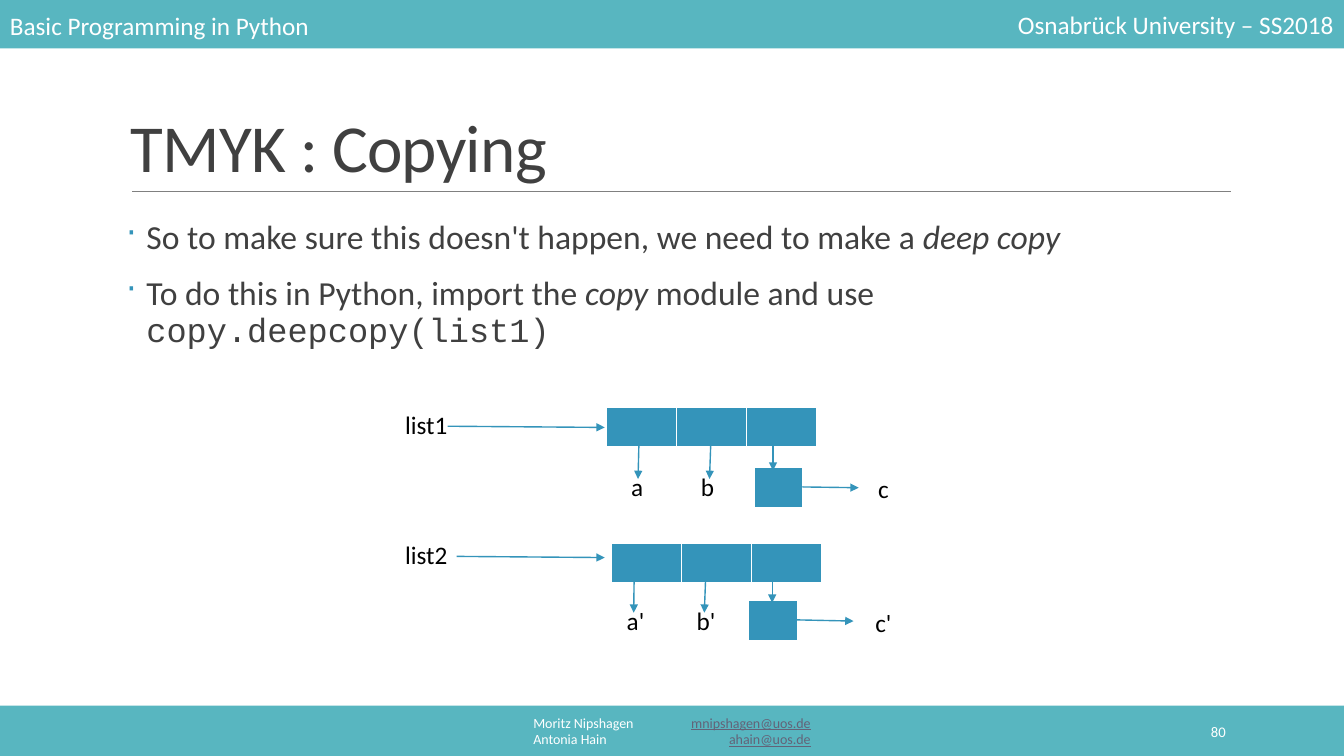
from lxml import etree
from pptx import Presentation
from pptx.dml.color import RGBColor
from pptx.enum import shapes as sh, text as tx
from pptx.oxml import parse_xml
from pptx.oxml.ns import qn
from pptx.util import Cm, Pt

TEAL = RGBColor(0x58, 0xB6, 0xC0)
BLUE = RGBColor(0x34, 0x94, 0xBA)
WHITE = RGBColor(0xFF, 0xFF, 0xFF)
BLACK = RGBColor(0, 0, 0)
DARK = RGBColor(0x40, 0x40, 0x40)
GRAY = RGBColor(0x80, 0x80, 0x80)
LINK = RGBColor(0x63, 0x63, 0x78)
NS = 'xmlns:a="http://schemas.openxmlformats.org/drawingml/2006/main"'
LEFT, MID, RIGHT = tx.PP_ALIGN.LEFT, tx.PP_ALIGN.CENTER, tx.PP_ALIGN.RIGHT
TOP, CENTER, BASE = tx.MSO_ANCHOR.TOP, tx.MSO_ANCHOR.MIDDLE, tx.MSO_ANCHOR.BOTTOM

prs = Presentation()
prs.slide_width, prs.slide_height = Cm(33.87), Cm(19.05)
slide = prs.slides.add_slide(prs.slide_layouts[6])


def write(x, y, w, h, lines, size, color, align=LEFT, anchor=TOP):
    box = slide.shapes.add_textbox(Cm(x), Cm(y), Cm(w), Cm(h))
    frame = box.text_frame
    frame.word_wrap = True
    frame.vertical_anchor = anchor
    for i, parts in enumerate(lines):
        para = frame.paragraphs[0] if i == 0 else frame.add_paragraph()
        para.alignment = align
        for part in parts:
            run = para.add_run()
            run.text = part
            run.font.name = "Calibri"
            run.font.size = Pt(size)
            run.font.color.rgb = color
    return frame


def draw(x1, y1, x2, y2, color, width):
    line = slide.shapes.add_connector(
        sh.MSO_CONNECTOR.STRAIGHT, Cm(x1), Cm(y1), Cm(x2), Cm(y2))
    line.line.color.rgb = color
    line.line.width = Pt(width)
    etree.SubElement(line._element.spPr, qn("a:effectLst"))
    return line


draw(3.33, 4.83, 31.01, 4.83, GRAY, 0.5)
for y in (17.78, -0.05):
    bar = slide.shapes.add_shape(
        sh.MSO_SHAPE.RECTANGLE, 0, Cm(y), prs.slide_width, Cm(1.27))
    bar.shadow.inherit = False
    bar.fill.solid()
    bar.fill.fore_color.rgb = TEAL
    bar.line.fill.background()

foot = write(10.24, 17.91, 13.39, 1.02,
             [["Moritz Nipshagen\t", "mnipshagen@uos.de"],
              ["Antonia Hain\t", "ahain@uos.de"]], 10, WHITE, MID, CENTER)
for para in foot.paragraphs:
    para._p.get_or_add_pPr().append(parse_xml(
        f'<a:tabLst {NS}><a:tab pos="{Cm(6.99)}" algn="r"/></a:tabLst>'))
    mail = para.runs[1].font
    mail.underline = True
    mail.color.rgb = LINK

write(0, 0.13, 13.39, 1.02, [["Basic Programming in Python"]],
      18, WHITE, LEFT, CENTER)
write(20.47, 0.1, 13.39, 1.02, [["Osnabrück University – SS2018"]],
      18, WHITE, RIGHT, CENTER)
write(27.51, 17.93, 3.63, 1.02, [["80"]], 10.5, WHITE, RIGHT, CENTER)

title = write(3.05, 2.74, 27.94, 2.08, [["TMYK : Copying"]],
              48, DARK, LEFT, BASE).paragraphs[0]
title.line_spacing = 0.85
title.runs[0]._r.get_or_add_rPr().set("spc", "-50")

body = write(3.18, 5.44, 27.94, 11.18,
             [["So to make sure this doesn't happen, we need to make a ",
               "deep copy"],
              ["To do this in Python, import the ", "copy ",
               "module and use ", "copy.deepcopy(list1)"]], 24, DARK)
body.margin_left = body.margin_right = 0
for i, para in enumerate(body.paragraphs):
    props = para._p.get_or_add_pPr()
    props.set("marL", str(Cm(0.51)))
    props.set("indent", str(-Cm(0.51)))
    props.append(parse_xml(
        f'<a:buClr {NS}><a:srgbClr val="{BLUE}"/></a:buClr>'))
    props.append(parse_xml(f'<a:buChar {NS} char="·"/>'))
    para.line_spacing = 0.9
    para.space_before = Pt(12 * i)
    para.space_after = Pt(2)
    para.runs[1].font.italic = True
body.paragraphs[1].runs[3].font.name = "Courier New"

for x, y, w, names, color, base in (
        (15.65, 11.79, 1.76, ["a", "b"], WHITE, 1),
        (15.54, 15.16, 1.76, ["a'", "b'"], WHITE, 1),
        (15.29, 10.26, 1.76, [""] * 3, BLUE, 3),
        (15.42, 13.69, 1.76, [""] * 3, BLUE, 3),
        (19, 11.79, 1.22, [""], BLUE, 3),
        (18.87, 15.14, 1.22, [""], BLUE, 3)):
    grid = slide.shapes.add_table(
        1, len(names), Cm(x), Cm(y), Cm(w * len(names)), Cm(1.03)).table
    for i, name in enumerate(names):
        grid.columns[i].width = Cm(w)
        cell = grid.cell(0, i)
        cell.text = name
        cell.fill.solid()
        cell.fill.fore_color.rgb = color
        for run in cell.text_frame.paragraphs[0].runs:
            run.font.name = "Calibri"
            run.font.size = Pt(18)
            run.font.bold = False
            run.font.color.rgb = BLACK
        for j, side in enumerate("LRTB"):
            width = Pt(base if side == "B" else 1)
            cell._tc.get_or_add_tcPr().insert(j, parse_xml(
                f'<a:ln{side} {NS} w="{width}"><a:solidFill>'
                f'<a:srgbClr val="{WHITE}"/></a:solidFill></a:ln{side}>'))

for x, y, w, name, align in (
        (9.96, 10.19, 2.16, "list1", LEFT),
        (9.96, 13.46, 2.16, "list2", LEFT),
        (21.39, 11.79, 1.75, "c", MID),
        (21.39, 15.19, 1.75, "c'", MID)):
    write(x, y, w, 1.02, [[name]], 18, BLACK, align)

for ends in (
        (11.28, 10.74, 15.24, 10.77), (11.51, 14.02, 15.24, 14.05),
        (16.1, 11.23, 16.08, 12.07), (17.91, 11.23, 17.88, 12.07),
        (15.98, 14.63, 15.97, 15.44), (17.78, 14.63, 17.75, 15.44),
        (20.22, 12.27, 21.64, 12.29), (20.09, 15.62, 21.51, 15.65),
        (19.48, 11.18, 19.48, 11.86), (19.46, 14.48, 19.46, 15.19)):
    arrow = draw(*ends, BLUE, 1)
    etree.SubElement(arrow.line._get_or_add_ln(), qn("a:tailEnd"),
                     type="triangle")

prs.save("out.pptx")
